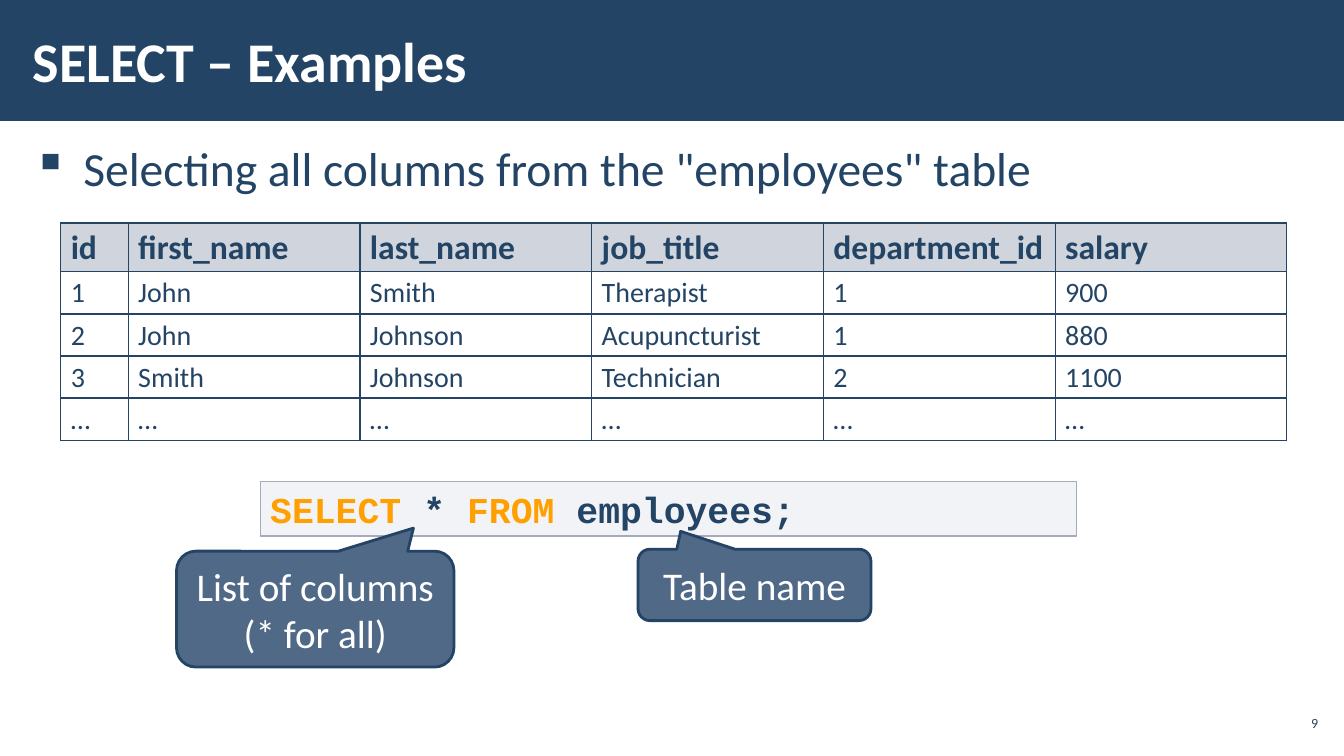
from lxml import etree
from pptx import Presentation
from pptx.dml.color import RGBColor
from pptx.enum.shapes import MSO_SHAPE
from pptx.enum.text import MSO_ANCHOR, PP_ALIGN
from pptx.oxml.ns import qn
from pptx.util import Cm, Pt

RECTANGLE = MSO_SHAPE.RECTANGLE
CALLOUT = MSO_SHAPE.ROUNDED_RECTANGULAR_CALLOUT
TOP, MIDDLE = MSO_ANCHOR.TOP, MSO_ANCHOR.MIDDLE
LEFT, CENTER, RIGHT = PP_ALIGN.LEFT, PP_ALIGN.CENTER, PP_ALIGN.RIGHT
NAVY, WHITE, ORANGE = "234465", "FFFFFF", "FFA000"
SLATE, GREY, PALE = "4F6987", "A3ABBC", "C2C7D2"


def color(value):
    return RGBColor.from_string(value)


def style(paragraph, size, value, bold=False, name="Calibri"):
    font = paragraph.font
    font.name, font.size, font.bold = name, Pt(size), bold
    font.color.rgb = color(value)


presentation = Presentation()
presentation.slide_width, presentation.slide_height = Cm(33.87), Cm(19.05)
slide = presentation.slides.add_slide(presentation.slide_layouts[6])

header = slide.shapes.add_shape(RECTANGLE, 0, 0, Cm(33.87), Cm(3.05))
header.shadow.inherit = False
header.fill.solid()
header.fill.fore_color.rgb = color(NAVY)
header.line.fill.background()

text_boxes = [
    ("Selecting all columns from the \"employees\" table",
     0.53, 3.33, 32.82, 14.45, 0.3, TOP, LEFT, 34, NAVY, False),
    ("SELECT – Examples", 0.53, 0.28, 26.39, 2.46, 0.3, MIDDLE, LEFT, 40, WHITE, True),
    ("9", 32.13, 17.78, 1.19, 0.86, 0.1, MIDDLE, RIGHT, 10, NAVY, False),
]
for text, left, top, width, height, inset, anchor, alignment, size, value, bold in text_boxes:
    box = slide.shapes.add_textbox(Cm(left), Cm(top), Cm(width), Cm(height))
    frame = box.text_frame
    frame.word_wrap = True
    frame.vertical_anchor = anchor
    frame.margin_left = frame.margin_right = Cm(inset)
    frame.margin_top = frame.margin_bottom = Cm(0.1)
    paragraph = frame.paragraphs[0]
    paragraph.text = text
    paragraph.alignment = alignment
    if anchor == TOP:
        properties = paragraph._p.get_or_add_pPr()
        properties.set("marL", str(Cm(1.27)))
        properties.set("indent", str(-Cm(1.27)))
        etree.SubElement(properties, qn("a:buChar"), char="▪")
        paragraph.line_spacing = 1.05
        paragraph.space_after = Pt(6)
    style(paragraph, size, value, bold)

query = slide.shapes.add_shape(RECTANGLE, Cm(6.56), Cm(12.14), Cm(20.57), Cm(1.37))
query.shadow.inherit = False
query.fill.solid()
query.fill.fore_color.rgb = color(PALE)
query_color = query._element.spPr.find(qn("a:solidFill")).find(qn("a:srgbClr"))
etree.SubElement(query_color, qn("a:alpha"), val="20000")
query.line.color.rgb = color(GREY)
query.line.width = Pt(1)
query.text_frame.vertical_anchor = TOP
paragraph = query.text_frame.paragraphs[0]
paragraph.alignment = LEFT
style(paragraph, 26, NAVY, True, "Courier New")
for text, value in [("SELECT ", ORANGE), ("* ", NAVY), ("FROM ", ORANGE), ("employees;", NAVY)]:
    run = paragraph.add_run()
    run.text = text
    run.font.color.rgb = color(value)

employees = [
    ("id", "first_name", "last_name", "job_title", "department_id", "salary"),
    ("1", "John", "Smith", "Therapist", "1", "900"),
    ("2", "John", "Johnson", "Acupuncturist", "1", "880"),
    ("3", "Smith", "Johnson", "Technician", "2", "1100"),
    ("…",) * 6,
]
table = slide.shapes.add_table(5, 6, Cm(1.53), Cm(5.62), Cm(30.92), Cm(5.47)).table
table.horz_banding = False
for index, column in enumerate(table.columns):
    column.width = Cm(5.84 if index else 1.7)
for index, row in enumerate(table.rows):
    row.height = Cm(1.06 if index else 1.23)
    for cell, text in zip(row.cells, employees[index]):
        cell.text = text
        paragraph = cell.text_frame.paragraphs[0]
        paragraph.line_spacing = 0.95
        style(paragraph, 20 if index else 24, NAVY, index == 0)
        properties = cell._tc.get_or_add_tcPr()
        if index:
            cell.fill.background()
        else:
            cell.fill.solid()
            cell.fill.fore_color.rgb = color(GREY)
            cell_color = properties.find(qn("a:solidFill")).find(qn("a:srgbClr"))
            etree.SubElement(cell_color, qn("a:alpha"), val="50000")
        for position, side in enumerate(("a:lnL", "a:lnR", "a:lnT", "a:lnB")):
            border = etree.Element(qn(side), w=str(Pt(1)))
            border_fill = etree.SubElement(border, qn("a:solidFill"))
            etree.SubElement(border_fill, qn("a:srgbClr"), val=NAVY)
            properties.insert(position, border)

callouts = [
    (("List of columns", "(* for all)"), 4.45, 13.89, 6.99, 2.92, 0.354, -0.699),
    (("Table name",), 16.08, 13.84, 5.87, 1.8, -0.317, -0.75),
]
for lines, left, top, width, height, tip_x, tip_y in callouts:
    callout = slide.shapes.add_shape(CALLOUT, Cm(left), Cm(top), Cm(width), Cm(height))
    callout.shadow.inherit = False
    callout.adjustments[0], callout.adjustments[1] = tip_x, tip_y
    callout.fill.solid()
    callout.fill.fore_color.rgb = color(SLATE)
    callout.line.color.rgb = color(NAVY)
    callout.line.width = Pt(2)
    callout.text_frame.vertical_anchor = MIDDLE
    callout.text_frame.text = "\n".join(lines)
    for paragraph in callout.text_frame.paragraphs:
        paragraph.alignment = CENTER
        style(paragraph, 28, WHITE)

presentation.save("out.pptx")
